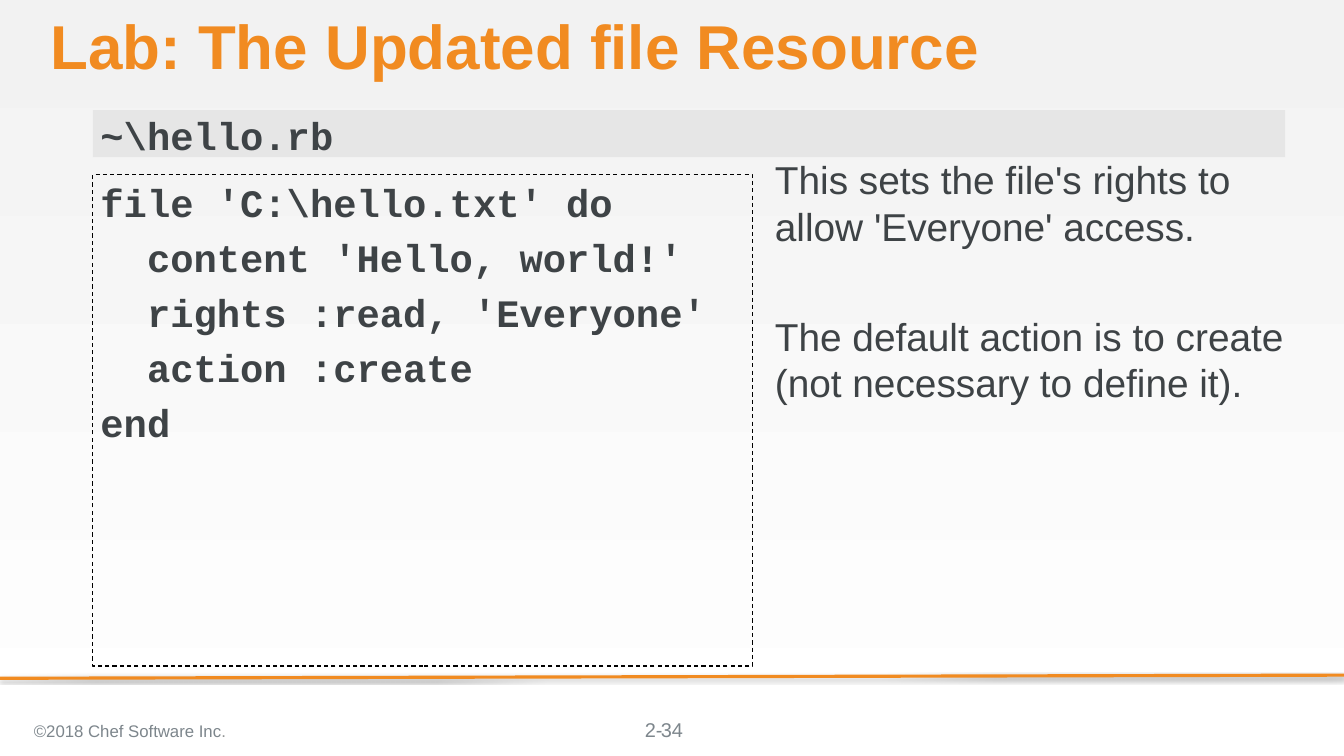
import pptx
import pptx.dml.color
import pptx.enum.dml
import pptx.enum.shapes
import pptx.enum.text
import pptx.oxml
import pptx.util

Pt = pptx.util.Pt
Anchor = pptx.enum.text.MSO_ANCHOR
Align = pptx.enum.text.PP_ALIGN
NS = 'xmlns:a="http://schemas.openxmlformats.org/drawingml/2006/main"'

WIDE, HIGH = 1280, 720
ORANGE, INK, GREY, DOT = "F18B21", "3E4346", "7D868C", "929494"
INSET = (7.2, 3.6, 7.2, 3.6)
FLUSH = (0, 0, 0, 0)
LEFT, RIGHT = 88.5, 1224

TITLE = ["Lab: The Updated file Resource"]
FILE = ["~\\hello.rb"]
CODE = [
    "file 'C:\\hello.txt' do",
    "  content 'Hello, world!'",
    "  rights :read, 'Everyone'",
    "  action :create",
    "end",
]
NOTES = [
    "This sets the file's rights to allow 'Everyone' access.",
    "The default action is to create (not necessary to define it).",
]
# text, colour of each run
OWNER = [("©2018 Chef Software Inc", GREY), (".", DOT)]
CHAPTER = [("2-", GREY)]
PAGE = [("34", GREY)]


def color(code):
    return pptx.dml.color.RGBColor.from_string(code)


def place(shape, left, top, width, height):
    shape.left, shape.top = Pt(left), Pt(top)
    shape.width, shape.height = Pt(width), Pt(height)


def frame(shape, inset, anchor=Anchor.TOP):
    """Set wrapping, margins and anchor, and return the text frame."""
    text = shape.text_frame
    text.word_wrap = True
    text.auto_size = pptx.enum.text.MSO_AUTO_SIZE.NONE
    text.vertical_anchor = anchor
    (text.margin_left, text.margin_top,
     text.margin_right, text.margin_bottom) = map(Pt, inset)
    return text


def add_run(para, text, font, size, code, bold=False):
    run = para.add_run()
    run.text = text
    run.font.name, run.font.size, run.font.bold = font, Pt(size), bold
    run.font.color.rgb = color(code)


def fill_holder(shape, box, lines, font, size, code, bold, space, gap=0,
                inset=FLUSH, anchor=Anchor.TOP):
    """Move a placeholder and write one plain paragraph per line."""
    place(shape, *box)
    text = frame(shape, inset, anchor)
    for i, line in enumerate(lines):
        para = text.add_paragraph() if i else text.paragraphs[0]
        props = para._p.get_or_add_pPr()
        props.set("marL", "0")
        props.set("indent", "0")
        props.append(pptx.oxml.parse_xml(f"<a:buNone {NS}/>"))
        para.alignment = Align.LEFT
        para.line_spacing = space
        para.space_before = Pt(gap if i else 0)
        add_run(para, line, font, size, code, bold)


def add_label(slide, box, runs, size, inset=INSET, anchor=Anchor.MIDDLE,
              align=Align.LEFT):
    shape = slide.shapes.add_textbox(*map(Pt, box))
    para = frame(shape, inset, anchor).paragraphs[0]
    para.alignment = align
    for text, code in runs:
        add_run(para, text, "Arial", size, code)


def add_rule(slide):
    rule = slide.shapes.add_connector(
        pptx.enum.shapes.MSO_CONNECTOR.STRAIGHT,
        Pt(WIDE), Pt(643), Pt(0), Pt(646))
    rule.line.color.rgb = color(ORANGE)
    rule.line.width = Pt(3)
    rule._element.spPr.append(pptx.oxml.parse_xml(
        f'<a:effectLst {NS}><a:outerShdw blurRad="{Pt(3.1)}" '
        f'dist="{Pt(1.8)}" dir="5400000" rotWithShape="0">'
        '<a:srgbClr val="000000"><a:alpha val="35000"/></a:srgbClr>'
        '</a:outerShdw></a:effectLst>'))


def paint_back(slide):
    fill = slide.background.fill
    fill.gradient()
    fill.gradient_angle = 270
    for stop, code in zip(fill.gradient_stops, ("F2F2F2", "FFFFFF")):
        stop.color.rgb = color(code)


def main():
    deck = pptx.Presentation()
    deck.slide_width, deck.slide_height = Pt(WIDE), Pt(HIGH)
    slide = deck.slides.add_slide(deck.slide_layouts[4])
    title, name, code, notes, spare = slide.placeholders
    spare._element.getparent().remove(spare._element)

    paint_back(slide)
    add_rule(slide)

    fill_holder(title, (48, 15, 1176, 65.5), TITLE, "Arial", 59, ORANGE,
                True, 0.9)
    fill_holder(name, (LEFT, 105, RIGHT - LEFT, 44.6), FILE, "Courier New",
                37, INK, True, 1.2, inset=(7.2, 0, 0, 7.2),
                anchor=Anchor.MIDDLE)
    name.fill.solid()
    name.fill.fore_color.rgb = color("D9D9D9")
    shade = name._element.spPr.find(".//{*}srgbClr")
    shade.append(pptx.oxml.parse_xml(f'<a:alpha {NS} val="50000"/>'))

    fill_holder(code, (LEFT, 166.3, 628.5, 468), CODE, "Courier New", 37,
                INK, True, Pt(44.4), gap=8, inset=INSET)
    code.line.color.rgb = color("000000")
    code.line.width = Pt(1)
    code.line.dash_style = pptx.enum.dml.MSO_LINE.DASH

    fill_holder(notes, (738, 148.3, RIGHT - 738, 495.4), NOTES, "Arial", 37,
                INK, False, Pt(44.4), gap=60.4)

    add_label(slide, (611.3, 683.3, 57.6, 23), CHAPTER, 19,
              inset=(2.9, 0, 0, 0), anchor=Anchor.TOP)
    add_label(slide, (25.2, 675.4, 447, 40.3), OWNER, 16)
    add_label(slide, (496, 675.4, 288, 38.2), PAGE, 19, align=Align.CENTER)

    deck.save("out.pptx")


if __name__ == "__main__":
    main()
